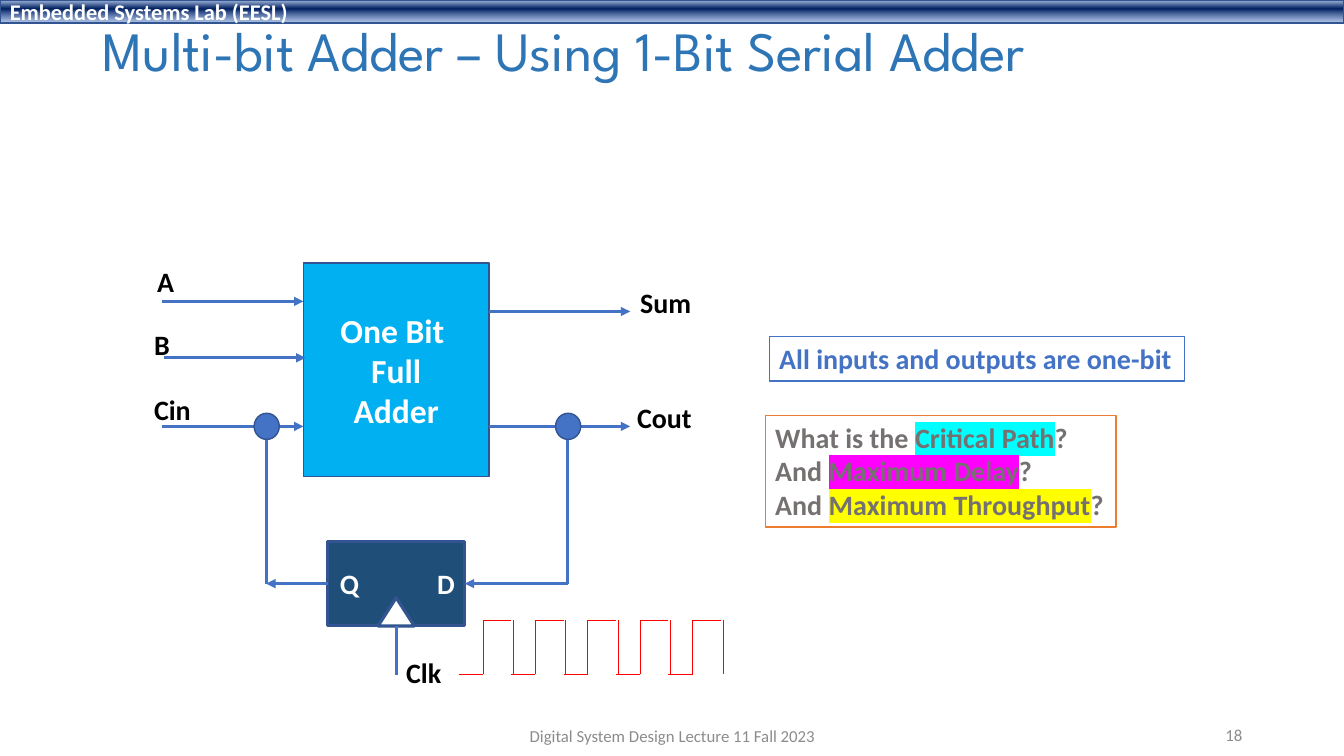
"""Builds the serial adder slide: block diagram, clock wave and two notes."""
from pptx import Presentation
from pptx import util as u
from pptx.dml.color import RGBColor
from pptx.enum import shapes, text
from pptx.oxml.ns import qn
from lxml import etree

BLUE, EDGE, WHITE, BLACK, GREY = "4472C4", "325491", "FFFFFF", "000000", "767171"
KIND = shapes.MSO_SHAPE

HEAD = "Embedded Systems Lab (EESL)"
TITLE = "Multi-bit Adder – Using 1-Bit Serial Adder"
FOOT = "Digital System Design Lecture 11 Fall 2023"
BAND = [(2, "ABC0E4", 100), (38, "002060", 100), (93, "7E9ED6", 64)]
ADDER = ["One Bit ", "Full", "Adder"]
NOTE = "All inputs and outputs are one-bit"
ASKS = [
    [("What is the ", None), ("Critical Path", "00FFFF"), ("?", None)],
    [("And ", None), ("Maximum Delay", "FF00FF"), ("?", None)],
    [("And ", None), ("Maximum Throughput", "FFFF00"), ("?", None)],
]
LABELS = [
    ("Clk", 3.93, 6.45, 0.55), ("A", 1.46, 2.58, 0.37), ("B", 1.43, 3.2, 0.36),
    ("Cin", 1.43, 3.84, 0.57), ("Sum", 6.25, 2.78, 0.71), ("Cout", 6.22, 3.92, 0.75),
]
PORTS = [(1.61, 2.99), (1.63, 3.55), (1.61, 4.23), (4.85, 3.09), (4.85, 4.23)]
REACH = 1.4
LEFT, RIGHT, CARRY, LOOP = 2.64, 5.63, 4.23, 5.79
START, LOW, HIGH, PITCH, PULSES = 4.55, 6.69, 6.15, 0.52, 5

deck = Presentation()
deck.slide_width, deck.slide_height = u.Inches(13.33), u.Inches(7.5)
slide = deck.slides.add_slide(deck.slide_layouts[6])


def color(code):
    return RGBColor.from_string(code)


def node(parent, tag, **attrs):
    return etree.SubElement(parent, qn("a:" + tag), attrs)


def write(shape, lines, size=20, font="Calibri", ink=WHITE, bold=True,
          align="LEFT", anchor="MIDDLE", wrap=True, space=None, tab=None):
    frame = shape.text_frame
    frame.word_wrap = wrap
    frame.vertical_anchor = getattr(text.MSO_ANCHOR, anchor)
    if not wrap:
        frame.auto_size = text.MSO_AUTO_SIZE.SHAPE_TO_FIT_TEXT
    for i, line in enumerate(lines):
        para = frame.add_paragraph() if i else frame.paragraphs[0]
        para.alignment = getattr(text.PP_ALIGN, align)
        if space:
            para.line_spacing = space
        if tab:
            stops = node(para._p.get_or_add_pPr(), "tabLst")
            node(stops, "tab", pos=str(u.Inches(tab)), algn="r")
        for words, mark in [(line, None)] if isinstance(line, str) else line:
            run = para.add_run()
            run.text = words
            run.font.size, run.font.bold = u.Pt(size), bold
            run.font.color.rgb = color(ink)
            if mark:
                node(node(run.font._element, "highlight"), "srgbClr", val=mark)
            run.font.name = font


def label(lines, x, y, w, h, **form):
    box = slide.shapes.add_textbox(*map(u.Inches, (x, y, w, h)))
    write(box, lines, **form)


def block(kind, x, y, w, h, fill, edge=EDGE, width=1):
    shape = slide.shapes.add_shape(kind, *map(u.Inches, (x, y, w, h)))
    shape.shadow.inherit = False
    shape.fill.solid()
    shape.fill.fore_color.rgb = color(fill)
    shape.line.color.rgb = color(edge)
    shape.line.width = u.Pt(width)
    return shape


def wire(x1, y1, x2, y2, ink=BLUE, width=2.25, arrow=False):
    line = slide.shapes.add_connector(
        shapes.MSO_CONNECTOR.STRAIGHT, *map(u.Inches, (x1, y1, x2, y2)))
    line.line.color.rgb = color(ink)
    line.line.width = u.Pt(width)
    if arrow:
        node(line.line._get_or_add_ln(), "tailEnd", type="triangle")
    node(line._element.spPr, "effectLst")
    return line


def shade(shape, stops):
    shape.fill.gradient()
    shape.fill.gradient_angle = 270
    bag = shape._element.spPr.find(qn("a:gradFill")).find(qn("a:gsLst"))
    for old in list(bag):
        bag.remove(old)
    for place, code, alpha in stops:
        tone = node(node(bag, "gs", pos=str(place * 1000)), "srgbClr", val=code)
        if alpha < 100:
            node(tone, "alpha", val=str(alpha * 1000))


band = block(KIND.RECTANGLE, 0, 0, 13.33, 0.23, BLUE)
shade(band, BAND)
write(band, [HEAD], size=16)
label([TITLE], 0.92, 0.15, 11.5, 0.77, size=39.6, font="League Spartan",
      ink="2E75B6", bold=False, space=0.9)

adder = block(KIND.RECTANGLE, 3.01, 2.61, 1.84, 2.12, "00B0F0")
write(adder, ADDER, size=24, align="CENTER")
latch = block(KIND.RECTANGLE, 3.25, 5.37, 1.36, 0.84, "1F4E79", width=2.25)
write(latch, ["Q\tD"], tab=1.14)
latch.text_frame.margin_left = u.Inches(0.12)
block(KIND.ISOSCELES_TRIANGLE, 3.75, 5.93, 0.36, 0.28, WHITE, width=2.25)

for x, y in PORTS:
    wire(x, y, x + REACH, y, arrow=True)
wire(RIGHT, CARRY, RIGHT, LOOP)
wire(LEFT, LOOP, LEFT, CARRY)
wire(RIGHT, LOOP, 4.61, LOOP, arrow=True).end_connect(latch, 3)
wire(3.25, LOOP, LEFT, LOOP, arrow=True).begin_connect(latch, 1)
wire(3.93, 6.21, 3.93, 6.7).begin_connect(latch, 2)
for x in (LEFT, RIGHT):
    block(KIND.OVAL, x - 0.12, CARRY - 0.13, 0.25, 0.26, BLUE)

for name, x, y, w in LABELS:
    label([name], x, y, w, 0.44, ink=BLACK, anchor="TOP", wrap=False)

for i in range(PULSES):
    x = START + i * PITCH
    rise, fall = x + 0.24, x + 0.54
    for ends in [(x, LOW, rise, LOW), (rise, LOW, rise, HIGH),
                 (rise, HIGH, x + PITCH, HIGH), (fall, HIGH, fall, LOW)]:
        wire(*ends, ink="FF0000", width=0.5)

note = block(KIND.RECTANGLE, 7.63, 3.34, 4.12, 0.44, WHITE, BLUE)
write(note, [NOTE], ink=BLUE, anchor="TOP", wrap=False)
asks = block(KIND.RECTANGLE, 7.59, 4.12, 3.48, 1.11, WHITE, "ED7D31")
write(asks, ASKS, ink=GREY, anchor="TOP", wrap=False)

small = dict(size=12, ink="8C8C8C", bold=False)
label(["18"], 9.42, 7.09, 3, 0.4, align="RIGHT", **small)
label([FOOT], 4.42, 7.1, 4.5, 0.4, align="CENTER", **small)

deck.save("out.pptx")
